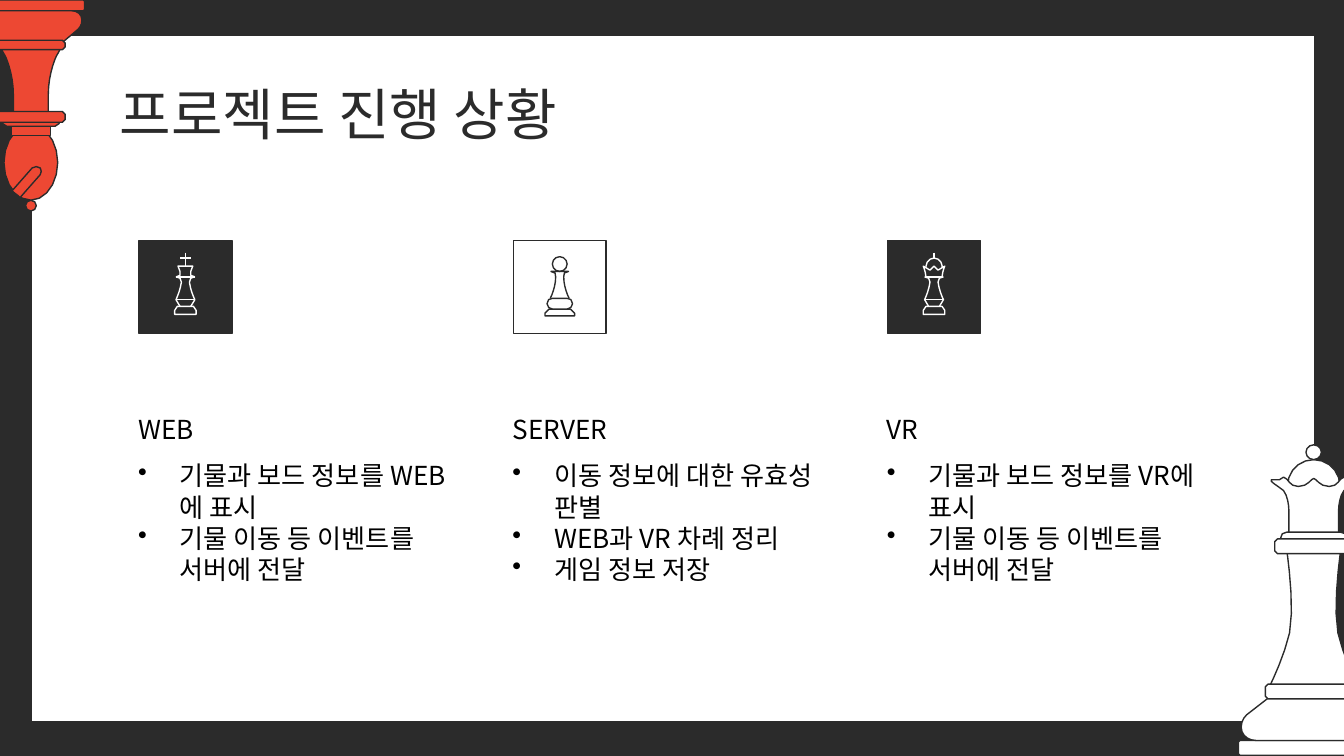
from dataclasses import dataclass
from enum import Enum
from math import dist

from lxml.etree import SubElement
from pptx import Presentation
from pptx.dml.color import RGBColor
from pptx.enum.shapes import MSO_CONNECTOR, MSO_SHAPE
from pptx.enum.text import MSO_ANCHOR, MSO_AUTO_SIZE, PP_ALIGN
from pptx.oxml.ns import qn
from pptx.util import Inches, Pt

# The slide is a grid of 1000 columns; rows have the same size as columns.
SLIDE_WIDTH = Inches(10)
SLIDE_HEIGHT = SLIDE_WIDTH * 9 // 16
CELL = SLIDE_WIDTH // 1000
MOST_CURVE_STEPS = 5
CELLS_PER_STEP = 3


@dataclass(frozen=True)
class Theme:
    dark: RGBColor = RGBColor(0x2B, 0x2B, 0x2B)
    light: RGBColor = RGBColor(0xFF, 0xFF, 0xFF)
    accent: RGBColor = RGBColor(0xED, 0x48, 0x33)
    text: RGBColor = RGBColor(0, 0, 0)
    font: str = "Noto Sans CJK KR"
    title_size: Pt = Pt(30)
    body_size: Pt = Pt(14)
    line_width: Pt = Pt(0.75)


THEME = Theme()


class Mirror(Enum):
    CLOSED = "both halves joined and closed"
    OPEN = "both halves joined at the first point"
    PAIR = "two separate strokes"
    NONE = "the outline alone, closed"


@dataclass(frozen=True)
class Part:
    """An outline to the right of a chess piece's axis, and how it is mirrored."""
    outline: str
    mirror: Mirror = Mirror.CLOSED


@dataclass(frozen=True)
class Line:
    start: tuple
    end: tuple


@dataclass(frozen=True)
class Column:
    heading: str
    points: tuple
    piece: tuple
    tile: RGBColor
    ink: RGBColor


def bar(top: float, bottom: float, half: float, radius: float = 0) -> Part:
    """A slab with cut corners; with no radius, a plain rectangle."""
    if not radius:
        return Part(f"M {half} {top} L {half} {bottom}")
    inner = half - radius
    return Part(f"M {inner} {top} L {half} {top + radius} L {half} {bottom - radius} L {inner} {bottom}")


def oval(top: float, bottom: float, half: float) -> Part:
    middle, pull = (top + bottom) / 2, 0.55
    rise = (bottom - top) / 2 * pull
    return Part(f"M 0 {top} C {half * pull} {top} {half} {middle - rise} {half} {middle} "
                f"C {half} {middle + rise} {half * pull} {bottom} 0 {bottom}")


BISHOP = (
    Part("M 22 36 C 21 39 19 41 18 44 C 15 52 13 61 13 70 L 13 84"),
    oval(93, 149, 20),
    Part("M -8 147 C -10 145 -12 144 -14 142 L 1 125 C 2 124 3 124 4 124 "
         "C 5 124 6 124 7 125 C 8 126 8 129 7 130", Mirror.NONE),
    bar(94, 101, 14.5),
    Part("M 21 91 L 21 92 C 21 93 20 94 18 94"),
    bar(83, 91, 25.5, 2),
    bar(0, 8, 40, 1),
    Part("M 30 8 C 35 8 38 11 38 15 C 38 18 37 20 35 22 L 23 32"),
    bar(30, 37, 25.5, 2),
    oval(149, 157, 4),
)
QUEEN = (
    Part("M 20 410 C 20 410 14 450 18 471 C 23 492 34 513 34 513"),
    bar(551, 562, 56, 1),
    Part("M 32 518 L 50 532 C 52 534 54 537 54 541 C 54 547 49 551 43 551"),
    bar(509, 520, 36, 2),
    oval(342, 381, 19.5),
    Part("M 0 356 C 2 356 4 362 11.5 362 C 18.5 362 18.5 356 22.5 355 C 25 355 25.5 357 25.5 357 "
         "C 25.5 357 27 357 29.5 357 L 31.5 357 C 33.5 358 27.5 361 22.5 365 "
         "C 18.5 370 18.5 380 18.5 380 L 18.5 399 L 0 400"),
    Part("M 20 396 C 23 396 24.5 398 24.5 400 L 24.5 402"),
    bar(401, 412, 29, 2),
    oval(331, 342, 5.75),
)
ICON_BODY = (
    Part("M 6 228 C 7 228 8 230 8 231 L 8 234"),
    Line((-7, 223), (7, 223)),
    Part("M 7 206 C 6 206 5 207 4 207 C 3 208 3 209 3 210 C 4 217 7 223 7 223 L 4 228", Mirror.PAIR),
    Line((-7, 206), (7, 206)),
)
KING_ICON = ICON_BODY + (
    Line((0, 188), (0, 198)),
    Line((-4, 192), (4, 192)),
    Part("M 5.5 198 C 5 198 5 200 4 202 C 3 203 4 204 4 205 C 5 206 6 206 7 206", Mirror.OPEN),
)
QUEEN_ICON = ICON_BODY + (
    Line((0, 188), (0, 192)),
    Part("M 0 198 L 3 201 L 8 198 C 8 198 6 203 6 206", Mirror.OPEN),
    Part("M 0 192 C 3 192 6 195 6 198 L 6 199", Mirror.OPEN),
)
PAWN_ICON = (
    Part("M 8 230 C 9 230 11 231 11 233 L 11 235"),
    Part("M 6.5 202 C 4 202 2 204 3 206 C 3 212 5 218 7 222", Mirror.OPEN),
    oval(191, 202, 5.5),
    Part("M 5.5 222 C 7.5 222 9.5 223 9.5 226 C 9.5 228 7.5 230 5.5 230", Mirror.OPEN),
)
MOVES = "기물 이동 등 이벤트를 서버에 전달"
COLUMNS = (
    Column("WEB", ("기물과 보드 정보를 WEB에 표시", MOVES), KING_ICON, THEME.dark, THEME.light),
    Column("SERVER", ("이동 정보에 대한 유효성 판별", "WEB과 VR 차례 정리", "게임 정보 저장"),
           PAWN_ICON, THEME.light, THEME.dark),
    Column("VR", ("기물과 보드 정보를 VR에 표시", MOVES), QUEEN_ICON, THEME.dark, THEME.light),
)
FIRST_COLUMN, COLUMN_STEP = 93, 278.5


def cells(*lengths: float) -> list:
    return [round(length * CELL) for length in lengths]


def trace(outline: str) -> list:
    """Turn M, L and C commands into points, with more of them on longer curves."""
    points, tokens = [], iter(outline.split())
    for command in tokens:
        count = 3 if command == "C" else 1
        corners = [(float(next(tokens)), float(next(tokens))) for _ in range(count)]
        if command != "C":
            points += corners
            continue
        curve = [points[-1], *corners]
        steps = max(1, min(MOST_CURVE_STEPS, round(dist(curve[0], curve[-1]) / CELLS_PER_STEP)))
        for step in range(1, steps + 1):
            t = step / steps
            weights = ((1 - t) ** 3, 3 * t * (1 - t) ** 2, 3 * t * t * (1 - t), t ** 3)
            points.append(tuple(sum(w * corner[axis] for w, corner in zip(weights, curve))
                                for axis in (0, 1)))
    return points


def paint(shape, fill, ink: RGBColor) -> None:
    shape.shadow.inherit = False
    if fill is None:
        shape.fill.background()
    else:
        shape.fill.solid()
        shape.fill.fore_color.rgb = fill
    shape.line.color.rgb = ink
    shape.line.width = THEME.line_width


def draw_stroke(shapes, points: list, axis: float, close: bool, ink: RGBColor, fill) -> None:
    placed = list(dict.fromkeys(tuple(cells(axis + x, y)) for x, y in points))
    builder = shapes.build_freeform(*placed[0])
    builder.add_line_segments(placed[1:], close=close)
    paint(builder.convert_to_shape(), fill, ink)


def draw_piece(page, parts: tuple, axis: float, ink: RGBColor, fill=None) -> None:
    shapes = page.shapes.add_group_shape().shapes
    for part in parts:
        if isinstance(part, Line):
            (x1, y1), (x2, y2) = part.start, part.end
            rule = shapes.add_connector(MSO_CONNECTOR.STRAIGHT, *cells(axis + x1, y1, axis + x2, y2))
            rule.line.color.rgb = ink
            rule.line.width = THEME.line_width
            SubElement(rule.element.spPr, qn("a:effectLst"))
            continue
        right = trace(part.outline)
        left = [(-x, y) for x, y in right]
        strokes = {Mirror.PAIR: [left, right], Mirror.NONE: [right]}.get(part.mirror, [left[::-1] + right])
        for stroke in strokes:
            draw_stroke(shapes, stroke, axis, part.mirror in (Mirror.CLOSED, Mirror.NONE), ink, fill)


def draw_box(page, left: float, top: float, width: float, height: float, fill: RGBColor) -> None:
    box = page.shapes.add_shape(MSO_SHAPE.RECTANGLE, *cells(left, top, width, height))
    paint(box, fill, THEME.dark)


def write(box, lines: tuple, size: Pt, color: RGBColor, anchor=MSO_ANCHOR.TOP, bullets=False) -> None:
    frame = box.text_frame
    frame.word_wrap, frame.auto_size, frame.vertical_anchor = True, MSO_AUTO_SIZE.NONE, anchor
    frame.margin_left = frame.margin_right = frame.margin_top = frame.margin_bottom = Inches(0.1)
    for index, line in enumerate(lines):
        para = frame.add_paragraph() if index else frame.paragraphs[0]
        para.alignment = PP_ALIGN.LEFT
        if bullets:
            properties = para._p.get_or_add_pPr()
            properties.set("marL", str(Inches(0.31)))
            properties.set("indent", str(-Inches(0.31)))
            tint = SubElement(properties, qn("a:buClr"))
            SubElement(tint, qn("a:srgbClr"), val=str(color))
            SubElement(properties, qn("a:buChar"), char="•")
        span = para.add_run()
        span.text = line
        span.font.name, span.font.size, span.font.color.rgb = THEME.font, size, color
        SubElement(span.font._element, qn("a:ea"), typeface=THEME.font)


def draw_column(page, column: Column, left: float) -> None:
    draw_box(page, left + 10.5, 179, 69, 69, column.tile)
    heading = page.shapes.add_textbox(*cells(left, 270, 257, 71))
    write(heading, (column.heading,), THEME.body_size, THEME.text, MSO_ANCHOR.BOTTOM)
    body = page.shapes.add_textbox(*cells(left, 332, 257, 139))
    write(body, column.points, THEME.body_size, THEME.text, bullets=True)
    draw_piece(page, column.piece, left + 45, column.ink)


def main() -> None:
    deck = Presentation()
    deck.slide_width, deck.slide_height = SLIDE_WIDTH, SLIDE_HEIGHT
    page = deck.slides.add_slide(deck.slide_layouts[5])
    page.background.fill.solid()
    page.background.fill.fore_color.rgb = THEME.dark
    draw_box(page, 23, 26, 955, 511, THEME.light)
    draw_piece(page, BISHOP, 23, THEME.dark, THEME.accent)
    draw_piece(page, QUEEN, 977.5, THEME.dark, THEME.light)
    title = page.shapes.title
    title.left, title.top, title.width, title.height = cells(79, 49, 843, 63)
    write(title, ("프로젝트 진행 상황",), THEME.title_size, THEME.dark)
    page.shapes.element.append(title.element)  # bring the title above the panel
    for index, column in enumerate(COLUMNS):
        draw_column(page, column, FIRST_COLUMN + index * COLUMN_STEP)
    deck.save("out.pptx")


if __name__ == "__main__":
    main()
